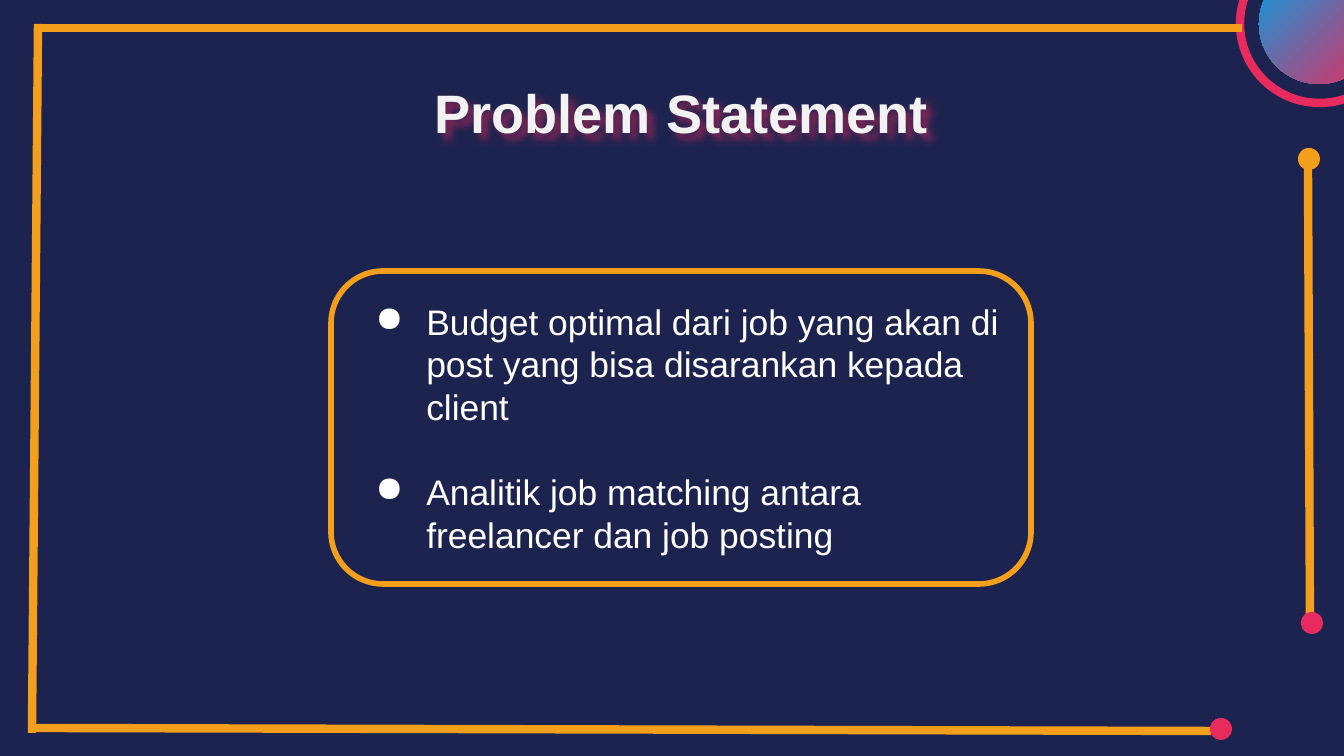
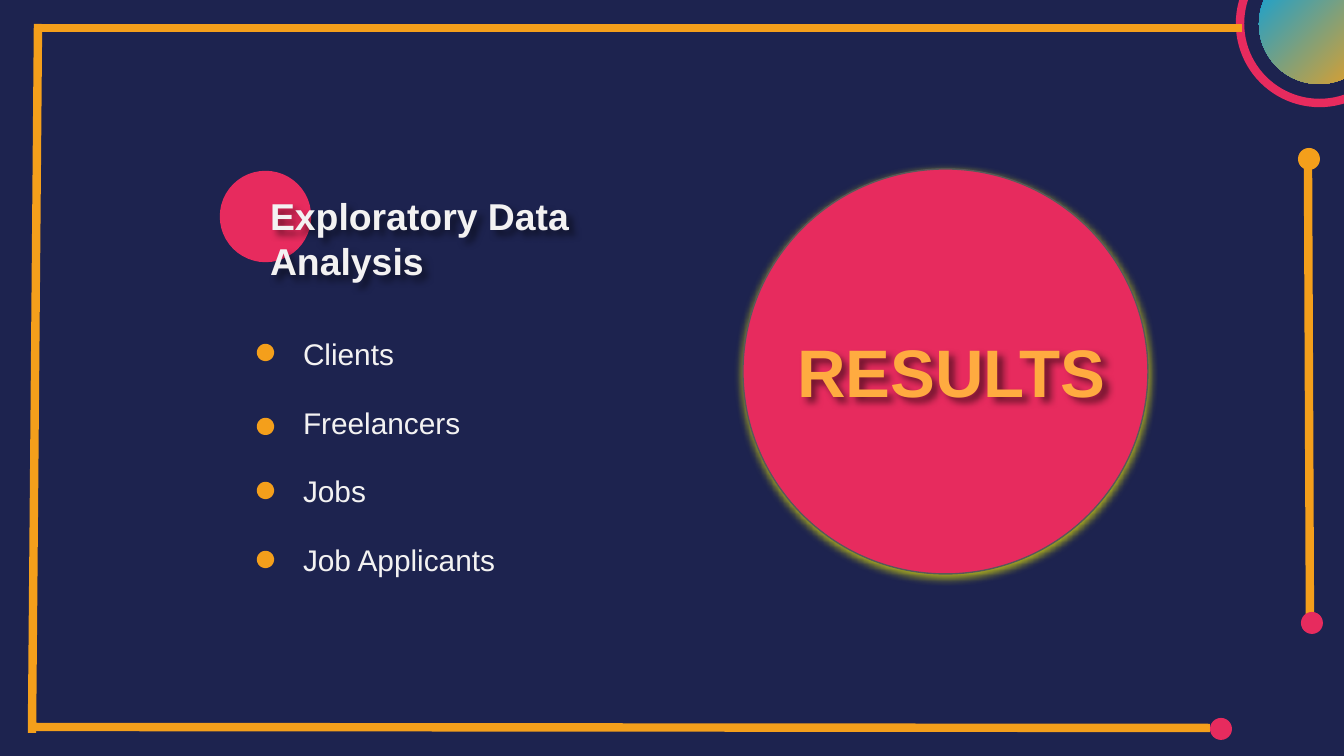
from lxml.etree import SubElement
from pptx import Presentation
from pptx.dml.color import RGBColor
from pptx.enum.shapes import MSO_CONNECTOR, MSO_SHAPE
from pptx.enum.text import MSO_ANCHOR as ANCHOR, MSO_AUTO_SIZE, PP_ALIGN as ALIGN
from pptx.oxml.ns import qn
from pptx.util import Pt

PX = 914400 / 134.4
NAVY = RGBColor(0x1D, 0x23, 0x4F)
ORANGE = RGBColor(0xF4, 0x9F, 0x1B)
PINK = RGBColor(0xE7, 0x2B, 0x5E)
BLUE = RGBColor(0x00, 0xA1, 0xE5)
AMBER = RGBColor(0xFF, 0xAB, 0x40)
PALE = RGBColor(0xF3, 0xF2, 0xF2)
WHITE = RGBColor(0xFF, 0xFF, 0xFF)
GREY = RGBColor(0x59, 0x59, 0x59)
YELLOW = RGBColor(0xFF, 0xFF, 0x00)
BLACK = RGBColor(0x00, 0x00, 0x00)
FONT = "Arial"
LINE_HEIGHT = 1.2


def draw(slide, preset, box, fill=None, outline=None, weight=0):
    """Add a preset shape at a px box, without shadow; None means no fill or no line."""
    shape = slide.shapes.add_shape(preset, *[round(v * PX) for v in box])
    shape.shadow.inherit = False
    if fill is None:
        shape.fill.background()
    else:
        shape.fill.solid()
        shape.fill.fore_color.rgb = fill
    if outline is None:
        shape.line.fill.background()
    else:
        shape.line.color.rgb = outline
        shape.line.width = Pt(weight)
    return shape


def cast_shadow(shape, color, alpha, blur, distance, angle):
    """Blur and distance are in points, alpha in percent, angle in degrees."""
    shape.shadow.inherit = False
    effects = shape._element.spPr.find(qn("a:effectLst"))
    outer = SubElement(effects, qn("a:outerShdw"), blurRad=str(Pt(blur)), dist=str(Pt(distance)),
                       dir=str(angle * 60000), algn="bl", rotWithShape="0")
    tint = SubElement(outer, qn("a:srgbClr"), val=str(color))
    SubElement(tint, qn("a:alpha"), val=str(alpha * 1000))


prs = Presentation()
prs.slide_width, prs.slide_height = round(1344 * PX), round(756 * PX)
TITLE_ONLY, TITLE_AND_CONTENT = prs.slide_layouts[5], prs.slide_layouts[1]
problem = prs.slides.add_slide(TITLE_ONLY)
analysis = prs.slides.add_slide(TITLE_AND_CONTENT)

# Shared frame: corner disc, orange lines and their end dots
for slide, disc_end, bottom_line in (
    (problem, PINK, (34, 728, 1211, 731)),
    (analysis, ORANGE, (32, 727, 1210, 728)),
):
    slide.background.fill.solid()
    slide.background.fill.fore_color.rgb = NAVY
    draw(slide, MSO_SHAPE.OVAL, (1240, -56, 159, 159), outline=PINK, weight=4.5)

    for x1, y1, x2, y2 in (
        (1310, 628, 1308, 160),
        bottom_line,
        (38, 28, 1242, 28),
        (32, 733, 38, 24),
    ):
        rule = slide.shapes.add_connector(
            MSO_CONNECTOR.STRAIGHT, *[round(v * PX) for v in (x1, y1, x2, y2)])
        rule.line.color.rgb = ORANGE
        rule.line.width = Pt(4.5)
        SubElement(rule._element.spPr, qn("a:effectLst"))

    disc = draw(slide, MSO_SHAPE.OVAL, (1259, -36, 120, 120))
    disc.fill.gradient()
    disc.fill.gradient_angle = 315
    for stop, color in zip(disc.fill.gradient_stops, (BLUE, disc_end)):
        stop.color.rgb = color

    for x, y, color in ((1298, 148, ORANGE), (1301, 612, PINK), (1210, 718, PINK)):
        draw(slide, MSO_SHAPE.OVAL, (x, y, 22, 22), fill=color)

# Problem statement
statement_card = draw(problem, MSO_SHAPE.ROUNDED_RECTANGLE, (331, 271, 700, 313),
                      outline=ORANGE, weight=3)
problem_title = problem.shapes.title

# Exploratory data analysis
results_disc = draw(analysis, MSO_SHAPE.OVAL, (743, 169, 405, 405), PINK, GREY, 0.75)
cast_shadow(results_disc, YELLOW, 67, 4.5, 1.5, 90)
results = analysis.shapes.add_textbox(0, 0, 0, 0)
draw(analysis, MSO_SHAPE.OVAL, (224, 175, 83, 83), PINK, PINK, 4.5)
for y in (348, 422, 486, 555):
    draw(analysis, MSO_SHAPE.OVAL, (261, y, 9, 9), BLUE, ORANGE, 4.5)
analysis_title = analysis.shapes.title
analysis.shapes._spTree.append(analysis_title._element)
topics = analysis.placeholders[1]

TEXTS = (
    (problem_title, (55, 40, 1253, 117), ["Problem Statement"],
     dict(size=29, color=PALE, bold=True, align=ALIGN.CENTER, anchor=ANCHOR.BOTTOM)),
    (statement_card, (331, 271, 700, 313),
     ["Budget optimal dari job yang akan di post yang bisa disarankan kepada client",
      "Analitik job matching antara freelancer dan job posting"],
     dict(size=19, color=WHITE, anchor=ANCHOR.MIDDLE, inset=7, gap=22.8,
          left=67, hang=-51, bullet="●")),
    (results, (770, 317, 349, 130), ["RESULTS"],
     dict(size=36, color=AMBER, bold=True, align=ALIGN.RIGHT)),
    (analysis_title, (257, 180, 423, 79), ["Exploratory Data Analysis"],
     dict(size=20, color=PALE, bold=True)),
    (topics, (267, 323, 457, 320), ["Clients", "Freelancers", "Jobs", "Job Applicants"],
     dict(size=16, color=PALE, gap=17.5, left=23)),
)
for holder, box, lines, style in TEXTS:
    for side, value in zip(("left", "top", "width", "height"), box):
        setattr(holder, side, round(value * PX))
    frame = holder.text_frame
    inset = round(style.get("inset", 13) * PX)
    for name, value in dict(
        word_wrap=True, auto_size=MSO_AUTO_SIZE.NONE,
        vertical_anchor=style.get("anchor", ANCHOR.TOP),
        margin_left=round(13 * PX), margin_right=round(13 * PX),
        margin_top=inset, margin_bottom=inset,
    ).items():
        setattr(frame, name, value)

    for i, line in enumerate(lines):
        paragraph = frame.paragraphs[0] if i == 0 else frame.add_paragraph()
        paragraph.alignment = style.get("align", ALIGN.LEFT)
        paragraph.line_spacing = Pt(style["size"] * LINE_HEIGHT)
        paragraph.space_before = Pt(style.get("gap", 0) if i else 0)
        paragraph.space_after = Pt(0)
        props = paragraph._p.get_or_add_pPr()
        props.set("marL", str(round(style.get("left", 0) * PX)))
        props.set("indent", str(round(style.get("hang", 0) * PX)))
        if "bullet" in style:
            SubElement(SubElement(props, qn("a:buClr")), qn("a:srgbClr"), val=str(style["color"]))
            SubElement(props, qn("a:buChar"), char=style["bullet"])
        else:
            SubElement(props, qn("a:buNone"))
        run = paragraph.add_run()
        run.text = line
        run.font.color.rgb = style["color"]
        for name, value in dict(name=FONT, size=Pt(style["size"]),
                                bold=style.get("bold", False)).items():
            setattr(run.font, name, value)

for heading, color in ((problem_title, PINK), (results, BLACK), (analysis_title, BLACK)):
    cast_shadow(heading, color, 50, 4, 4, 45)

prs.save("out.pptx")
